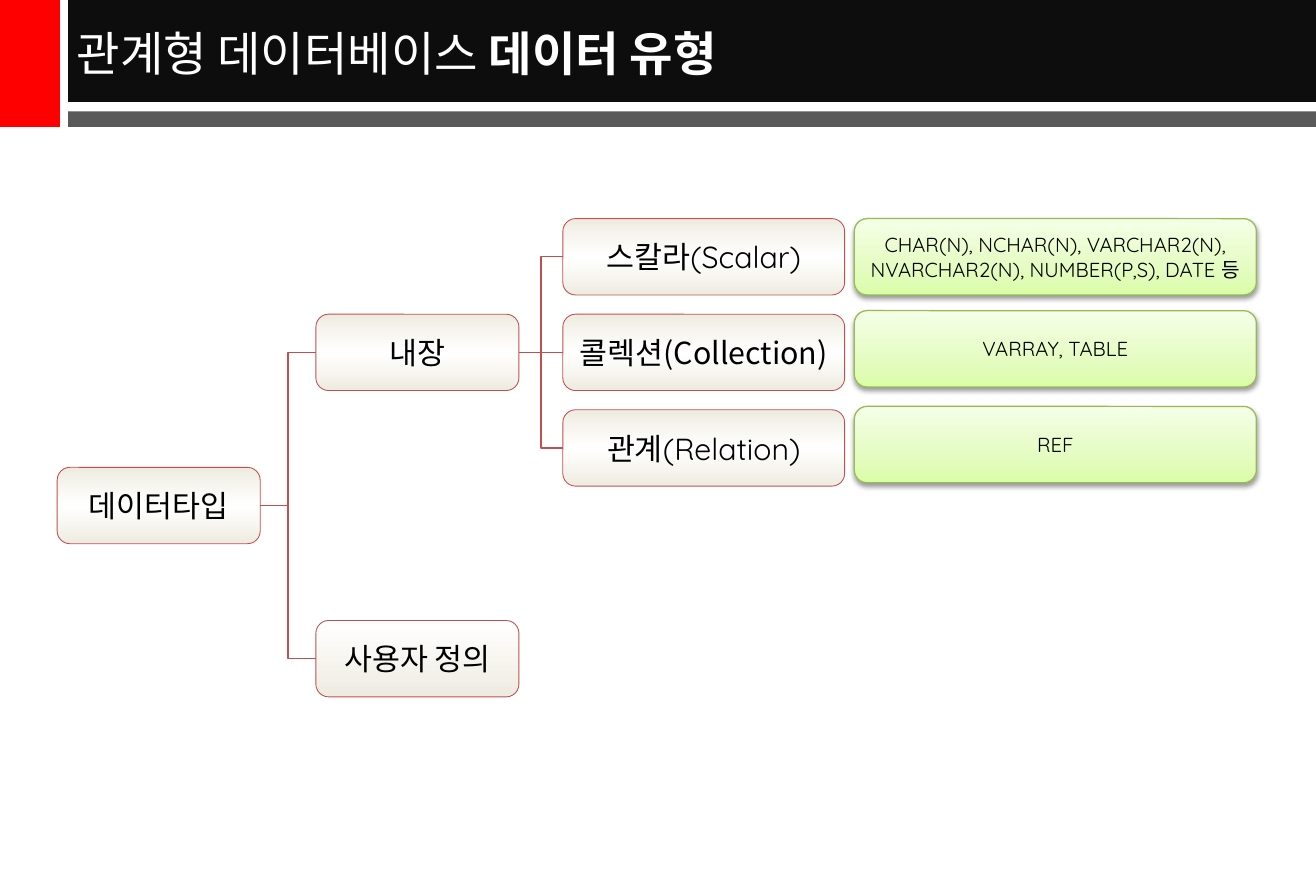
import dataclasses

import lxml.etree
import pptx
import pptx.dml.color
import pptx.enum.shapes
import pptx.enum.text
import pptx.oxml
import pptx.oxml.ns
import pptx.util

Pt = pptx.util.Pt
qn = pptx.oxml.ns.qn
MSO_SHAPE = pptx.enum.shapes.MSO_SHAPE
MSO_CONNECTOR = pptx.enum.shapes.MSO_CONNECTOR
PP_ALIGN = pptx.enum.text.PP_ALIGN
MSO_ANCHOR = pptx.enum.text.MSO_ANCHOR

KOREAN = "Noto Sans CJK KR"
LATIN = "Quicksand"
COLORS = {
    "red": "FF0000", "black": "0D0D0D", "gray": "595959",
    "white": "FFFFFF", "text": "000000", "beige": "EEECE1",
    "tree": "C0504D", "green_line": "98B955",
    "green_pale": "F5FFE7", "green_mid": "E4FCC2", "green": "DAFDA7",
}
# Gradient stops run from top to bottom
BAND = ((0, "beige"), (50, "white"), (100, "beige"))
FADE = ((0, "white"), (100, "beige"))
GREEN = ((0, "green_pale"), (65, "green_mid"), (100, "green"))

SLIDE_W, SLIDE_H = 779.76, 524.16
BAR_X = 40.3
BOX_H = 45.2
LEVEL_X = (33.9, 187.2, 333.5)
LEVEL_W = (120.3, 120.3, 167)
TYPE_Y, TYPE_STEP = 129.5, 56.6
BUILTIN_Y = TYPE_Y + TYPE_STEP
USER_Y = 367.5


@dataclasses.dataclass
class Bar:
    x: float
    y: float
    w: float
    h: float
    color: str


@dataclasses.dataclass
class Box:
    text: str
    x: float
    y: float
    w: float
    font: str = KOREAN
    size: float = 18
    stops: tuple = BAND
    line: str = "tree"
    line_w: float = 0.5
    shadow: bool = False


def rgb(name: str) -> pptx.dml.color.RGBColor:
    return pptx.dml.color.RGBColor.from_string(COLORS[name])


def add_text(p, text: str, *, size: float, font: str = KOREAN,
             color: str = "text", bold: bool = False) -> None:
    r = p.add_run()
    r.text = text
    r.font.size, r.font.bold, r.font.name = Pt(size), bold, font
    r.font.color.rgb = rgb(color)
    ea = lxml.etree.SubElement(r.font._element, qn("a:ea"))
    ea.set("typeface", KOREAN)


def set_gradient(sp, stops: tuple) -> None:
    sp.fill.gradient()
    sp.fill.gradient_angle = 270
    gs_list = next(sp.element.iter(qn("a:gsLst")))
    for gs in list(gs_list):
        gs_list.remove(gs)
    for pos, color in stops:
        gs = lxml.etree.SubElement(gs_list, qn("a:gs"), pos=str(pos * 1000))
        lxml.etree.SubElement(gs, qn("a:srgbClr"), val=COLORS[color])


def add_shadow(sp) -> None:
    effects = sp.element.spPr.find(qn("a:effectLst"))
    shadow = lxml.etree.SubElement(
        effects, qn("a:outerShdw"), blurRad=str(Pt(3.1)), dist=str(Pt(1.6)),
        dir="5400000", rotWithShape="0")
    color = lxml.etree.SubElement(shadow, qn("a:srgbClr"), val=COLORS["text"])
    lxml.etree.SubElement(color, qn("a:alpha"), val="38000")


def draw_bar(slide, bar: Bar) -> None:
    sp = slide.shapes.add_shape(MSO_SHAPE.RECTANGLE, Pt(bar.x), Pt(bar.y),
                                Pt(bar.w), Pt(bar.h))
    sp.shadow.inherit = False
    sp.fill.solid()
    sp.fill.fore_color.rgb = rgb(bar.color)
    sp.line.fill.background()


def draw_box(slide, box: Box):
    sp = slide.shapes.add_shape(MSO_SHAPE.ROUNDED_RECTANGLE, Pt(box.x),
                                Pt(box.y), Pt(box.w), Pt(BOX_H))
    sp.shadow.inherit = False
    set_gradient(sp, box.stops)
    sp.line.color.rgb = rgb(box.line)
    sp.line.width = Pt(box.line_w)
    if box.shadow:
        add_shadow(sp)
    tf = sp.text_frame
    tf.margin_left = tf.margin_right = tf.margin_top = tf.margin_bottom = 0
    tf.word_wrap = False
    tf.vertical_anchor = MSO_ANCHOR.MIDDLE
    for i, line in enumerate(box.text.split("\n")):
        p = tf.add_paragraph() if i else tf.paragraphs[0]
        p.alignment = PP_ALIGN.CENTER
        add_text(p, line, size=box.size, font=box.font)
    return sp


def draw_link(slide, parent, child) -> None:
    level = abs(parent.top - child.top) < Pt(1)
    kind = MSO_CONNECTOR.STRAIGHT if level else MSO_CONNECTOR.ELBOW
    cxn = slide.shapes.add_connector(kind, 0, 0, 0, 0)
    cxn.begin_connect(parent, 3)
    cxn.end_connect(child, 1)
    cxn.line.color.rgb = rgb("tree")
    cxn.line.width = Pt(0.75)
    lxml.etree.SubElement(cxn.element.spPr, qn("a:effectLst"))


def main() -> None:
    prs = pptx.Presentation()
    prs.slide_width, prs.slide_height = Pt(SLIDE_W), Pt(SLIDE_H)
    slide = prs.slides.add_slide(prs.slide_layouts[5])

    # Header bars
    for bar in (Bar(0, 0, 35.6, 75.2, "red"),
                Bar(BAR_X, 0, SLIDE_W - BAR_X, 60.3, "black"),
                Bar(BAR_X, 66, SLIDE_W - BAR_X, 9.2, "gray")):
        draw_bar(slide, bar)

    # Title, in front of the bars
    title = slide.shapes.title
    title.element.getparent().append(title.element)
    title.left, title.top, title.width, title.height = Pt(38.3), Pt(1.5), Pt(741.4), Pt(59)
    tf = title.text_frame
    tf.vertical_anchor = MSO_ANCHOR.MIDDLE
    p = tf.paragraphs[0]
    p.alignment = PP_ALIGN.LEFT
    add_text(p, "관계형 데이터베이스", size=28, color="white")
    add_text(p, " 데이터 유형", size=28, color="white", bold=True)

    # Tree of data types
    def node(text: str, level: int, y: float, **style):
        return draw_box(slide, Box(text, LEVEL_X[level], y, LEVEL_W[level], **style))

    root = node("데이터타입", 0, (BUILTIN_Y + USER_Y) / 2)
    builtin = node("내장", 1, BUILTIN_Y)
    user = node("사용자 정의", 1, USER_Y, stops=FADE)
    types = [node(text, 2, TYPE_Y + i * TYPE_STEP, font=font)
             for i, (text, font) in enumerate((("스칼라(Scalar)", LATIN),
                                               ("콜렉션(Collection)", KOREAN),
                                               ("관계(Relation)", LATIN)))]
    for parent, children in ((root, (builtin, user)), (builtin, types)):
        for child in children:
            draw_link(slide, parent, child)

    # Examples of each built-in type
    for y, text in (
            (129.5, "CHAR(N), NCHAR(N), VARCHAR2(N),\nNVARCHAR2(N), NUMBER(P,S), DATE 등"),
            (184, "VARRAY, TABLE"),
            (240.7, "REF")):
        draw_box(slide, Box(text, 506.2, y, 238.2, LATIN, 12, GREEN,
                            "green_line", 0.75, True))

    prs.save("out.pptx")


if __name__ == "__main__":
    main()
